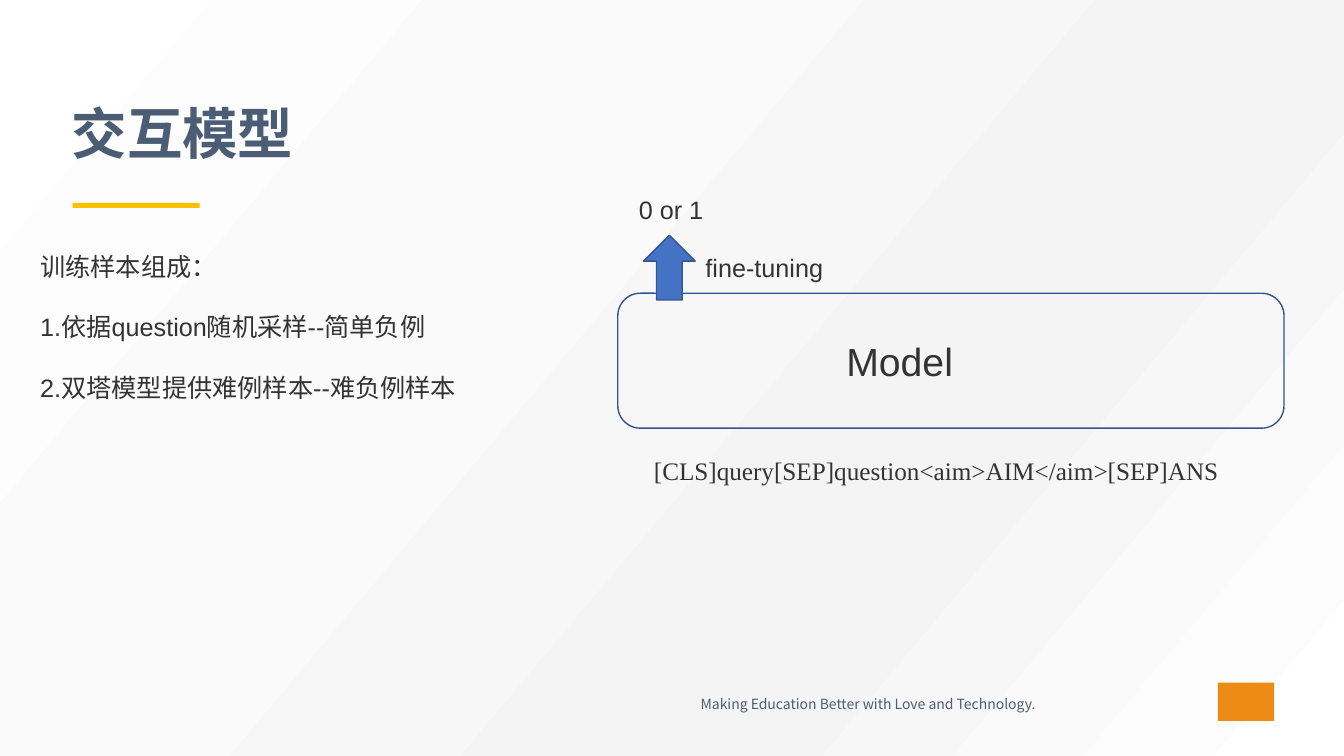
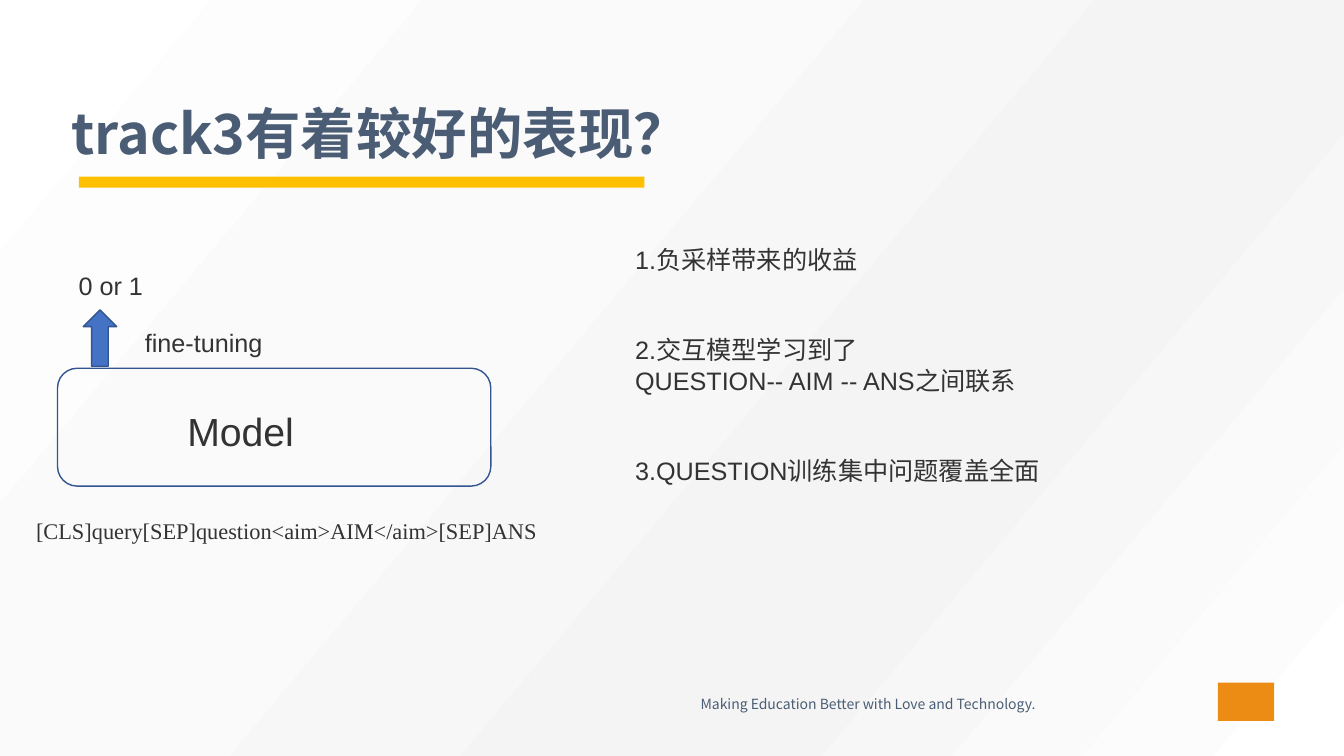
import copy

import pptx
import pptx.dml.color
import pptx.enum.shapes
import pptx.enum.text
import pptx.oxml
import pptx.oxml.ns
import pptx.util
from pptx.util import Cm

RGBColor = pptx.dml.color.RGBColor
SLATE = RGBColor(0x4B, 0x5D, 0x75)
INK = RGBColor(0x33, 0x33, 0x33)
ORANGE = RGBColor(0xED, 0x8C, 0x14)
GOLD = RGBColor(0xFF, 0xC0, 0x00)
BLUE = RGBColor(0x44, 0x72, 0xC4)
NAVY = RGBColor(0x32, 0x54, 0x91)
WASH = [(0, RGBColor(0xFF, 0xFF, 0xFF)), (0.32, RGBColor(0xFA, 0xFA, 0xFA)),
        (0.67, RGBColor(0xF4, 0xF4, 0xF4)), (1, RGBColor(0xFF, 0xFF, 0xFF))]

CJK = "Noto Sans CJK SC"
SHAPE = pptx.enum.shapes.MSO_SHAPE
ALIGN = pptx.enum.text.PP_ALIGN
ANCHOR = pptx.enum.text.MSO_ANCHOR
qn = pptx.oxml.ns.qn
DRAWING = pptx.oxml.ns.nsdecls("a")


def write(frame, lines, size, face, color, bold=False, align=ALIGN.LEFT,
          anchor=ANCHOR.TOP, line_spacing=1.0):
    frame_format = {"word_wrap": True, "vertical_anchor": anchor,
                    "auto_size": pptx.enum.text.MSO_AUTO_SIZE.NONE}
    for name, value in frame_format.items():
        setattr(frame, name, value)
    for index, (text, gap) in enumerate(lines):
        para = frame.add_paragraph() if index else frame.paragraphs[0]
        para_format = {"alignment": align, "line_spacing": line_spacing,
                       "space_before": pptx.util.Pt(gap)}
        for name, value in para_format.items():
            setattr(para, name, value)
        span = para.add_run()
        span.text = text
        span_format = {"name": face, "size": pptx.util.Pt(size), "bold": bold}
        for name, value in span_format.items():
            setattr(span.font, name, value)
        span.font.color.rgb = color


def draw(page, kind, place, fill=None, line=None):
    shape = page.shapes.add_shape(kind, *map(Cm, place))
    shape.shadow.inherit = False
    if fill is None:
        shape.fill.background()
    else:
        shape.fill.solid()
        shape.fill.fore_color.rgb = fill
    if line is None:
        shape.line.fill.background()
    else:
        shape.line.color.rgb = line
        shape.line.width = pptx.util.Pt(1)
    return shape


PAGES = [
    {
        "title": "交互模型",
        "rule": (1.83, 5.11, 3.2, 0.13),
        "body": (0.76, 6.2, 11.94, 4.88),
        "lines": [("训练样本组成：", 0),
                  ("1.依据question随机采样--简单负例", 21.6),
                  ("2.双塔模型提供难例样本--难负例样本", 21.6)],
        "frame": (15.57, 7.39, 16.79, 3.4),
        "arrow": (16.22, 5.93, 1.3, 1.63),
        "labels": [(21.08, 8.37, 11.3, 1.45), (17.53, 6.23, 11.3, 1.02),
                   (15.85, 4.78, 5.74, 1.02), (16.23, 11.35, 16.94, 1.02)],
        "input_size": 18,
    },
    {
        "title": "track3有着较好的表现？",
        "rule": (1.99, 4.45, 14.25, 0.28),
        "body": (15.75, 6.02, 16.21, 6.4),
        "lines": [("1.负采样带来的收益", 0),
                  ("2.交互模型学习到了", 43.2),
                  ("QUESTION-- AIM -- ANS之间联系", 0),
                  ("3.QUESTION训练集中问题覆盖全面", 43.2)],
        "frame": (1.45, 9.28, 10.92, 2.97),
        "arrow": (2.1, 7.81, 0.84, 1.42),
        "labels": [(4.47, 10.13, 7.34, 1.27), (3.4, 8.13, 7.34, 0.89),
                   (1.73, 6.68, 3.73, 0.89), (0.66, 12.9, 16.59, 0.89)],
        "input_size": 16,
    },
]

deck = pptx.Presentation()
deck.slide_width = Cm(33.87)
deck.slide_height = Cm(19.05)
layout = deck.slide_layouts[1]

wash = layout.background.fill
wash.gradient()
wash.gradient_angle = 320
stop_list = next(layout.element.iter(qn("a:gsLst")))
for extra in range(len(WASH) - len(stop_list)):
    stop_list.append(copy.deepcopy(stop_list[0]))
for stop, (position, color) in zip(wash.gradient_stops, WASH):
    stop.position = position
    stop.color.rgb = color

for number, content in enumerate(PAGES):
    page = deck.slides.add_slide(layout)

    if number == 0:
        block = draw(page, SHAPE.RECTANGLE, (30.69, 17.2, 1.42, 0.97), ORANGE)
        footer = page.shapes.add_textbox(*map(Cm, (11.63, 17.4, 14.71, 0.69)))
        write(footer.text_frame, [("Making Education Better with Love and Technology.", 0)],
              10, CJK, SLATE, align=ALIGN.RIGHT)
        for shared in (block, footer):
            layout.shapes.element.append(shared.element)

    title = page.shapes.title
    body = page.placeholders[1]
    for holder, place in ((title, (1.55, 2.34, 30.4, 2.18)), (body, content["body"])):
        for name, value in zip(("left", "top", "width", "height"), place):
            setattr(holder, name, Cm(value))
    write(title.text_frame, [(content["title"], 0)], 39.6, CJK, SLATE,
          bold=True, anchor=ANCHOR.MIDDLE, line_spacing=0.9)
    write(body.text_frame, content["lines"], 18, "Arial", INK)
    for properties in body.element.iter(qn("a:pPr")):
        properties.set("marL", "0")
        properties.set("indent", "0")
        properties.append(pptx.oxml.parse_xml(f"<a:buNone {DRAWING}/>"))

    draw(page, SHAPE.RECTANGLE, content["rule"], GOLD)
    draw(page, SHAPE.ROUNDED_RECTANGLE, content["frame"], line=NAVY)
    draw(page, SHAPE.UP_ARROW, content["arrow"], BLUE, NAVY)

    labels = [("Model", 28, "Arial"), ("fine-tuning", 18, "Arial"), ("0 or 1", 18, "Arial"),
              ("[CLS]query[SEP]question<aim>AIM</aim>[SEP]ANS",
               content["input_size"], "Times New Roman")]
    for (text, size, face), place in zip(labels, content["labels"]):
        box = page.shapes.add_textbox(*map(Cm, place))
        write(box.text_frame, [(text, 0)], size, face, INK)

    for latin in list(page.element.iter(qn("a:latin"))):
        latin.addnext(pptx.oxml.parse_xml(f'<a:ea {DRAWING} typeface="{CJK}"/>'))

deck.save("out.pptx")
